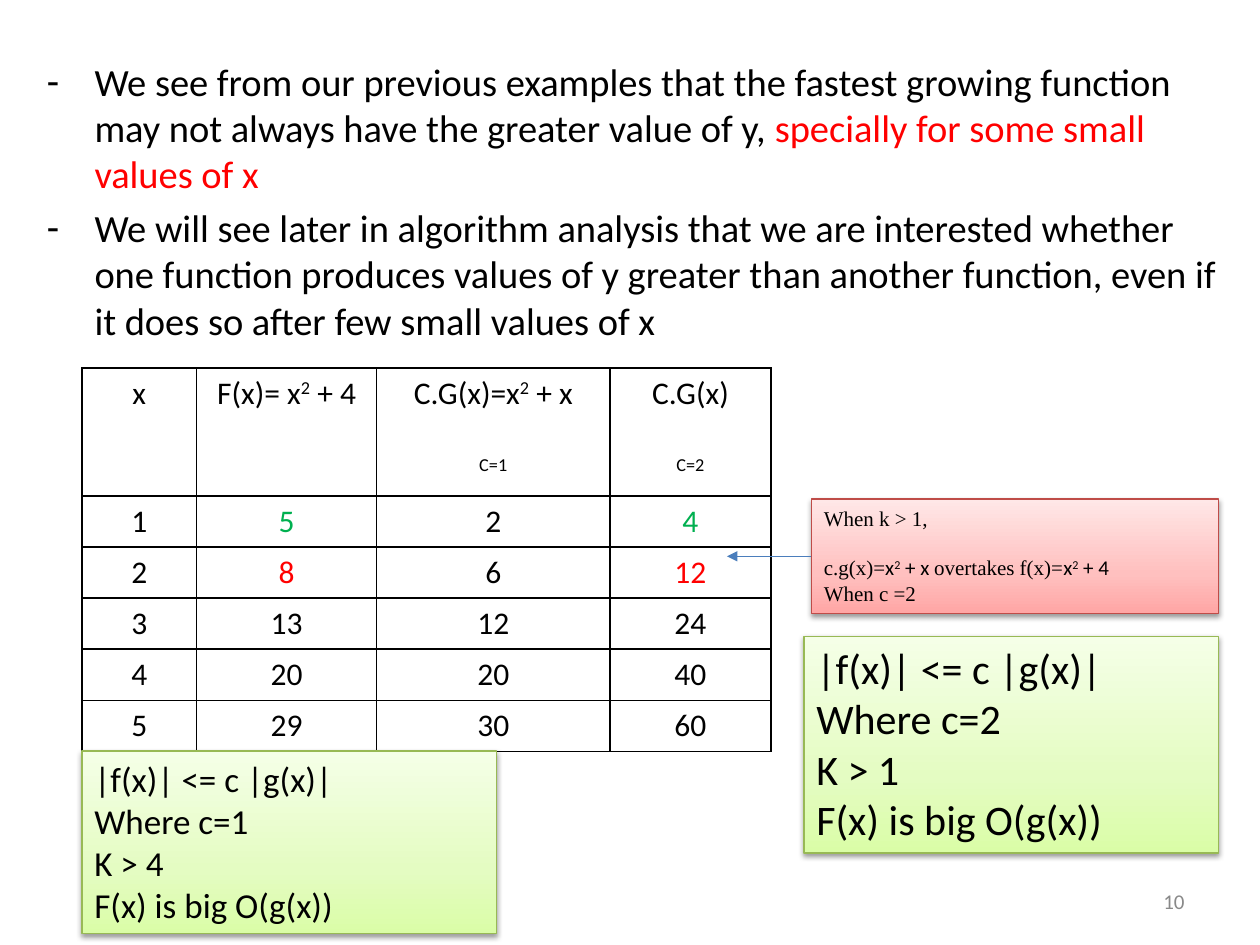
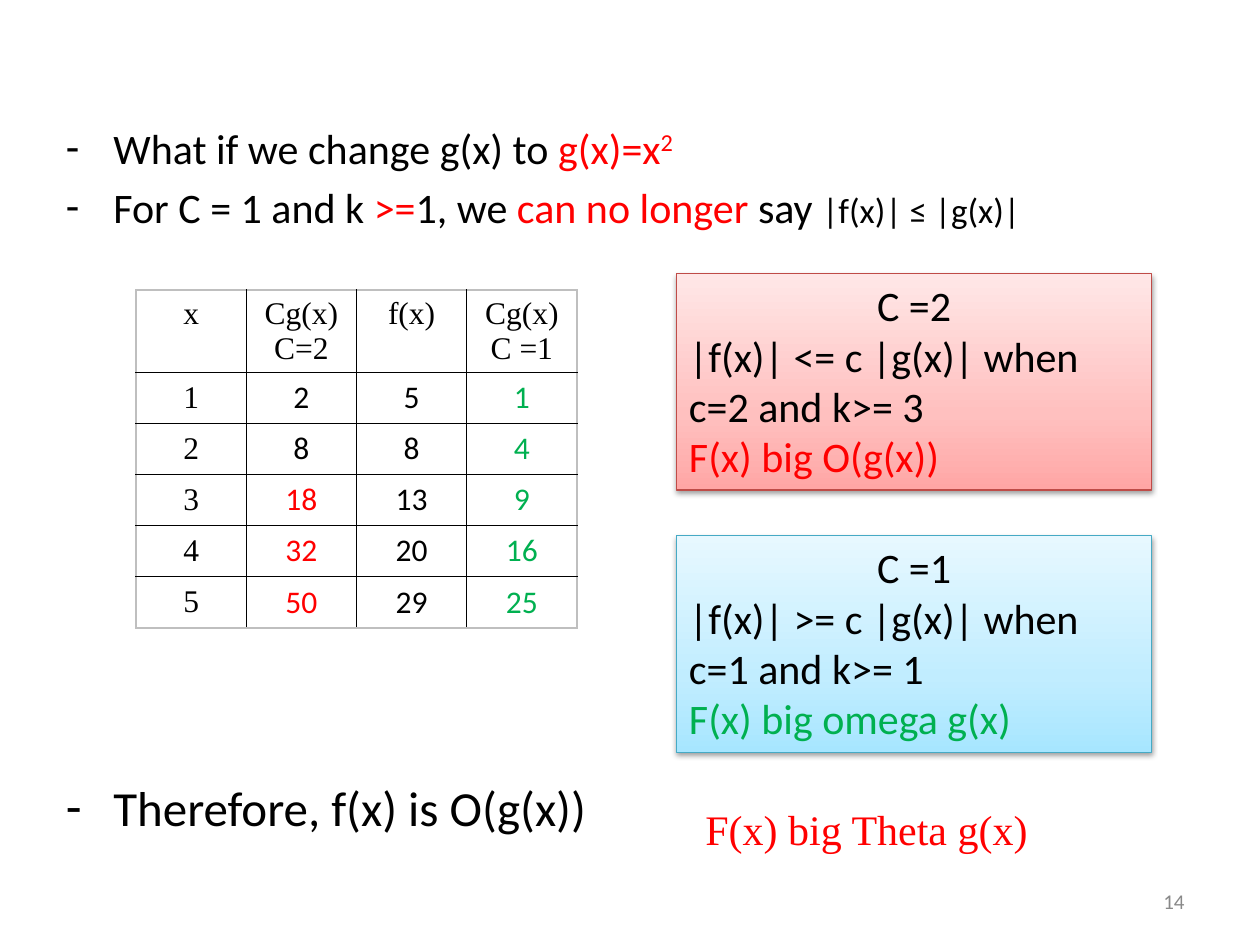
from typing import NamedTuple

from lxml.etree import SubElement
from pptx import Presentation
from pptx.dml.color import RGBColor
from pptx.enum.shapes import MSO_CONNECTOR, MSO_SHAPE
from pptx.enum.text import MSO_ANCHOR, MSO_AUTO_SIZE, PP_ALIGN
from pptx.oxml.ns import qn
from pptx.util import Inches, Pt

WIDTH, HEIGHT = Inches(10), Inches(7.5)
COLUMN, ROW = WIDTH / 100, HEIGHT / 75
SANS, SERIF = "Calibri", "Times New Roman"
COLORS = {
    "black": "000000", "red": "FF0000", "green": "00B050",
    "number": "898989", "arrow": "4B7EBC", "pale": "BFBFBF",
    "rose_low": "FFA6A5", "rose_mid": "FFC0BF", "rose_high": "FFE7E7", "rose_edge": "BF4C48",
    "lime_low": "DAFDA7", "lime_mid": "E4FCC2", "lime_high": "F5FFE7", "lime_edge": "98B955",
    "sky_low": "A7E6FF", "sky_mid": "C1EDFF", "sky_high": "E7F8FF", "sky_edge": "46AAC5",
}
RED = {"color": "red"}
GREEN = {"color": "green"}
RAISED = {"raised": True}
SQUARE = ("2", RAISED)


class Box(NamedTuple):
    left: int
    top: int
    width: int
    height: int

    def area(self, column, row, columns, rows):
        return Box(round(self.left + column * COLUMN), round(self.top + row * ROW),
                   round(columns * COLUMN), round(rows * ROW))


PAGE = Box(0, 0, WIDTH, HEIGHT)


def rgb(name):
    return RGBColor.from_string(COLORS[name])


def write(frame, text, size=18, font=SANS, color="black", raised=False,
          align=PP_ALIGN.LEFT, before=0, dash=False):
    paragraph = frame.paragraphs[-1]
    if paragraph.runs:
        paragraph = frame.add_paragraph()
    paragraph.alignment = align
    paragraph.space_before = Pt(before)
    if dash:
        properties = paragraph._p.get_or_add_pPr()
        properties.set("marL", str(Inches(0.38)))
        properties.set("indent", str(-Inches(0.38)))
        SubElement(properties, qn("a:buChar"), char="-")
    style = {"size": size, "font": font, "color": color, "raised": raised}
    for piece in [text] if isinstance(text, str) else text:
        words, changes = (piece, {}) if isinstance(piece, str) else piece
        look = {**style, **changes}
        run = paragraph.add_run()
        run.text = words
        run.font.size = Pt(look["size"])
        run.font.name = look["font"]
        run.font.color.rgb = rgb(look["color"])
        if look["raised"]:
            run.font._element.set("baseline", "30000")


def prepare(frame, anchor=MSO_ANCHOR.TOP):
    frame.word_wrap = True
    frame.auto_size = MSO_AUTO_SIZE.NONE
    frame.vertical_anchor = anchor
    return frame


def start_slide(deck, number):
    slide = deck.slides.add_slide(deck.slide_layouts[0])
    title = slide.shapes.title.element
    title.getparent().remove(title)
    place_label(slide, PAGE.area(71.7, 69.5, 23.3, 4), number, size=12, color="number",
                align=PP_ALIGN.RIGHT, anchor=MSO_ANCHOR.MIDDLE)
    return slide


def place_label(slide, box, text, anchor=MSO_ANCHOR.TOP, **style):
    label = slide.shapes.add_textbox(*box)
    write(prepare(label.text_frame, anchor), text, **style)


def place_points(slide, box, points):
    body = slide.placeholders[1]
    body.left, body.top, body.width, body.height = box
    frame = prepare(body.text_frame)
    for text, style in points:
        write(frame, text, dash=True, **style)


def place_panel(slide, box, tone, lines, **style):
    panel = slide.shapes.add_shape(MSO_SHAPE.RECTANGLE, *box)
    panel.fill.gradient()
    panel.fill.gradient_angle = 90
    panel.line.color.rgb = rgb(f"{tone}_edge")
    panel.line.width = Pt(0.75)
    panel.shadow.inherit = False
    properties = panel._element.spPr
    stops = properties.find(".//" + qn("a:gsLst"))
    for stop in list(stops):
        stops.remove(stop)
    for share, shade in ((0, "low"), (35, "mid"), (100, "high")):
        stop = SubElement(stops, qn("a:gs"), pos=str(share * 1000))
        SubElement(stop, qn("a:srgbClr"), val=COLORS[f"{tone}_{shade}"])
    shadow = SubElement(properties.find(qn("a:effectLst")), qn("a:outerShdw"),
                        blurRad=str(Pt(3.1)), dist=str(Pt(1.6)), dir="5400000", rotWithShape="0")
    shade = SubElement(shadow, qn("a:srgbClr"), val=COLORS["black"])
    SubElement(shade, qn("a:alpha"), val="38000")
    frame = prepare(panel.text_frame)
    for line in lines:
        text, changes = line if isinstance(line, tuple) else (line, {})
        write(frame, text, **{**style, **changes})
    return panel


def draw_borders(cell, edges):
    properties = cell._tc.get_or_add_tcPr()
    for position, (side, color) in enumerate(edges.items()):
        border = properties.makeelement(qn(f"a:ln{side}"), {"w": str(Pt(1))})
        fill = SubElement(border, qn("a:solidFill"))
        SubElement(fill, qn("a:srgbClr"), val=COLORS[color])
        properties.insert(position, border)


def place_values(slide, box, columns, header_rows, header, values, colors,
                 header_font=SANS, rim="black"):
    table = slide.shapes.add_table(len(values) + 1, len(columns), *box).table
    table.first_row = table.horz_banding = False
    for column, width in zip(table.columns, columns):
        column.width = round(width * COLUMN)
    body_height = (box.height - header_rows * ROW) / len(values)
    for index, row in enumerate(table.rows):
        row.height = round(body_height if index else header_rows * ROW)
    last_row, last_column = len(values), len(columns) - 1
    for r, entries in enumerate([header, *values]):
        for c, entry in enumerate(entries):
            cell = table.cell(r, c)
            cell.fill.background()
            draw_borders(cell, {
                "L": rim if c == 0 else "black",
                "R": rim if c == last_column else "black",
                "T": rim if r == 0 else "black",
                "B": rim if r == last_row else "black",
            })
            if r == 0:
                for text, style in entry:
                    write(cell.text_frame, text, font=header_font, align=PP_ALIGN.CENTER, **style)
            else:
                cell.vertical_anchor = MSO_ANCHOR.MIDDLE
                write(cell.text_frame, str(entry), font=header_font if c == 0 else SANS,
                      color=colors.get((r, c), "black"), align=PP_ALIGN.CENTER)


def point_left(slide, panel, reach):
    middle = panel.top + panel.height // 2
    arrow = slide.shapes.add_connector(MSO_CONNECTOR.STRAIGHT, panel.left, middle,
                                       round(reach * COLUMN), middle)
    arrow.begin_connect(panel, 1)
    arrow.line.color.rgb = rgb("arrow")
    arrow.line.width = Pt(0.75)
    SubElement(arrow.line._get_or_add_ln(), qn("a:tailEnd"), type="triangle")
    SubElement(arrow._element.spPr, qn("a:effectLst"))


def build_growth_slide(deck, box):
    slide = start_slide(deck, "10")
    place_points(slide, box.area(2.7, 4.1, 95, 63.4), [
        (["We see from our previous examples that the fastest growing function may not "
          "always have the greater value of y, ",
          ("specially for some small values of x", RED)], {"size": 22}),
        ("We will see later in algorithm analysis that we are interested whether one function "
         "produces values of y greater than another function, even if it does so after few "
         "small values of x", {"size": 22, "before": 4.4}),
    ])
    constant = {"raised": True, "before": 22}
    place_values(
        slide, box.area(6.5, 29.2, 54.7, 30.4), (9.1, 14.3, 18.5, 12.8), 10.15,
        [[("x", {})],
         [(["F(x)= x", SQUARE, " + 4"], {})],
         [(["C.G(x)=x", SQUARE, " + x"], {}), ("C=1", constant)],
         [("C.G(x)", {}), ("C=2", constant)]],
        [(1, 5, 2, 4), (2, 8, 6, 12), (3, 13, 12, 24), (4, 20, 20, 40), (5, 29, 30, 60)],
        {(1, 1): "green", (1, 3): "green", (2, 1): "red", (2, 3): "red"})
    sans = {"font": SANS}
    raised_sans = ("2", {**sans, **RAISED})
    overtaking = place_panel(slide, box.area(64.4, 39.6, 32.3, 9.1), "rose", [
        "When k > 1,",
        (["c.g(x)=", ("x", sans), raised_sans, (" + x ", sans), "overtakes f(x)=",
          ("x", sans), raised_sans, (" + 4", sans)], {"before": 14}),
        "When c =2",
    ], size=12, font=SERIF)
    point_left(slide, overtaking, 57.7)
    for bound, constant_value, threshold, size in (
            (box.area(63.8, 50.5, 32.9, 17.2), 2, 1, 24),
            (box.area(6.5, 59.6, 32.9, 14.5), 1, 4, 20)):
        place_panel(slide, bound, "lime", [
            "|f(x)| <= c |g(x)|", f"Where c={constant_value}",
            f"K > {threshold}", "F(x) is big O(g(x))"], size=size)


def build_theta_slide(deck, box):
    slide = start_slide(deck, "14")
    place_points(slide, box.area(4.2, 9.2, 95, 62.5), [
        (["What if we change g(x) to ", ("g(x)=x", RED), ("2", {**RED, **RAISED})],
         {"size": 24}),
        (["For C = 1 and k ", (">=", RED), "1, we ", ("can no longer ", RED), "say ",
          ("|f(x)| ≤ |g(x)|", {"size": 20})], {"size": 24, "before": 4.8}),
        ("Therefore, f(x) is O(g(x))", {"size": 28, "before": 312}),
    ])
    place_values(
        slide, box.area(10.8, 23, 35, 26.8), (8.75,) * 4, 6.55,
        [[("x", {})], [("Cg(x)", {}), ("C=2", {})],
         [("f(x)", {})], [("Cg(x)", {}), ("C =1", {})]],
        [(x, 2 * x * x, x * x + 4, x * x) for x in range(1, 6)],
        {**{(row, 1): "red" for row in range(3, 6)},
         **{(row, 3): "green" for row in range(1, 6)}},
        header_font=SERIF, rim="pale")
    for row, tone, constant, relation, threshold, verdict, accent in (
            (42.5, "sky", 1, ">=", 1, "F(x) big omega g(x)", GREEN),
            (21.7, "rose", 2, "<=", 3, "F(x) big O(g(x))", RED)):
        place_panel(slide, box.area(53.7, row, 37.7, 17.2), tone, [
            (f"C ={constant}", {"align": PP_ALIGN.CENTER}),
            f"|f(x)| {relation} c |g(x)| when c={constant} and k>= {threshold}",
            (verdict, accent)], size=24)
    place_label(slide, box.area(55, 63.3, 37.7, 5), "F(x) big Theta g(x)",
                size=24, font=SERIF, color="red")


def main():
    deck = Presentation()
    deck.slide_width, deck.slide_height = WIDTH, HEIGHT
    build_growth_slide(deck, PAGE)
    build_theta_slide(deck, PAGE)
    deck.save("out.pptx")


if __name__ == "__main__":
    main()
